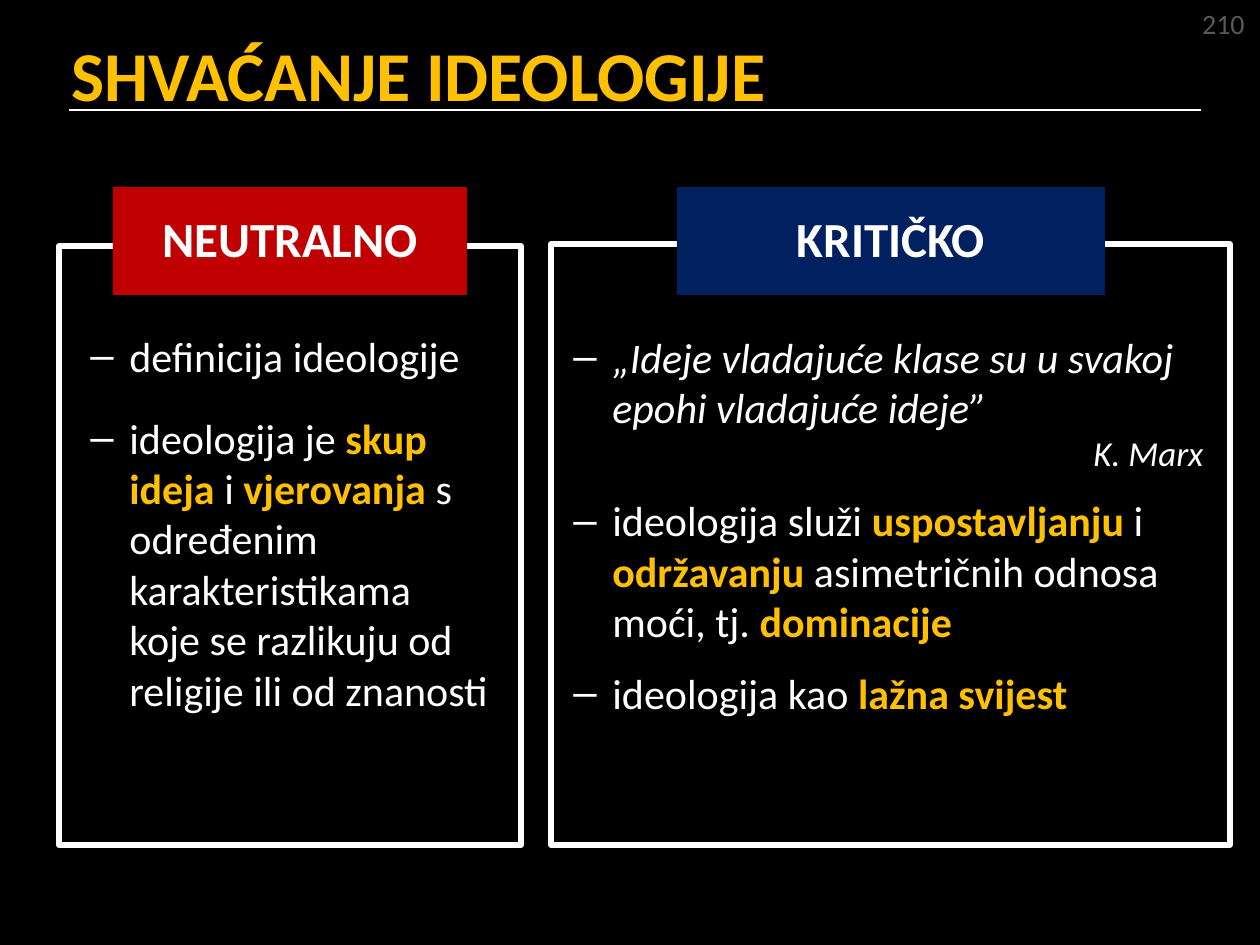
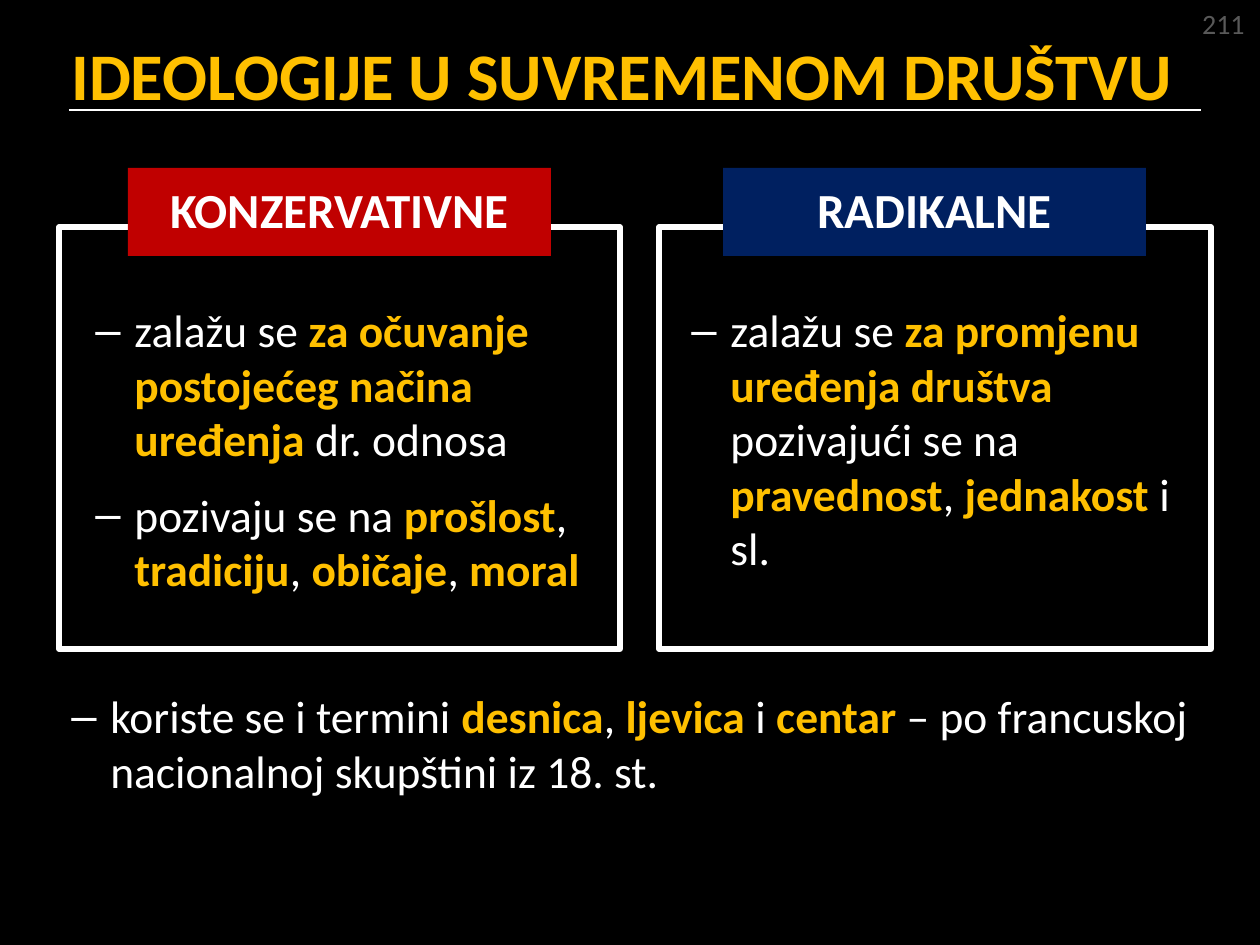
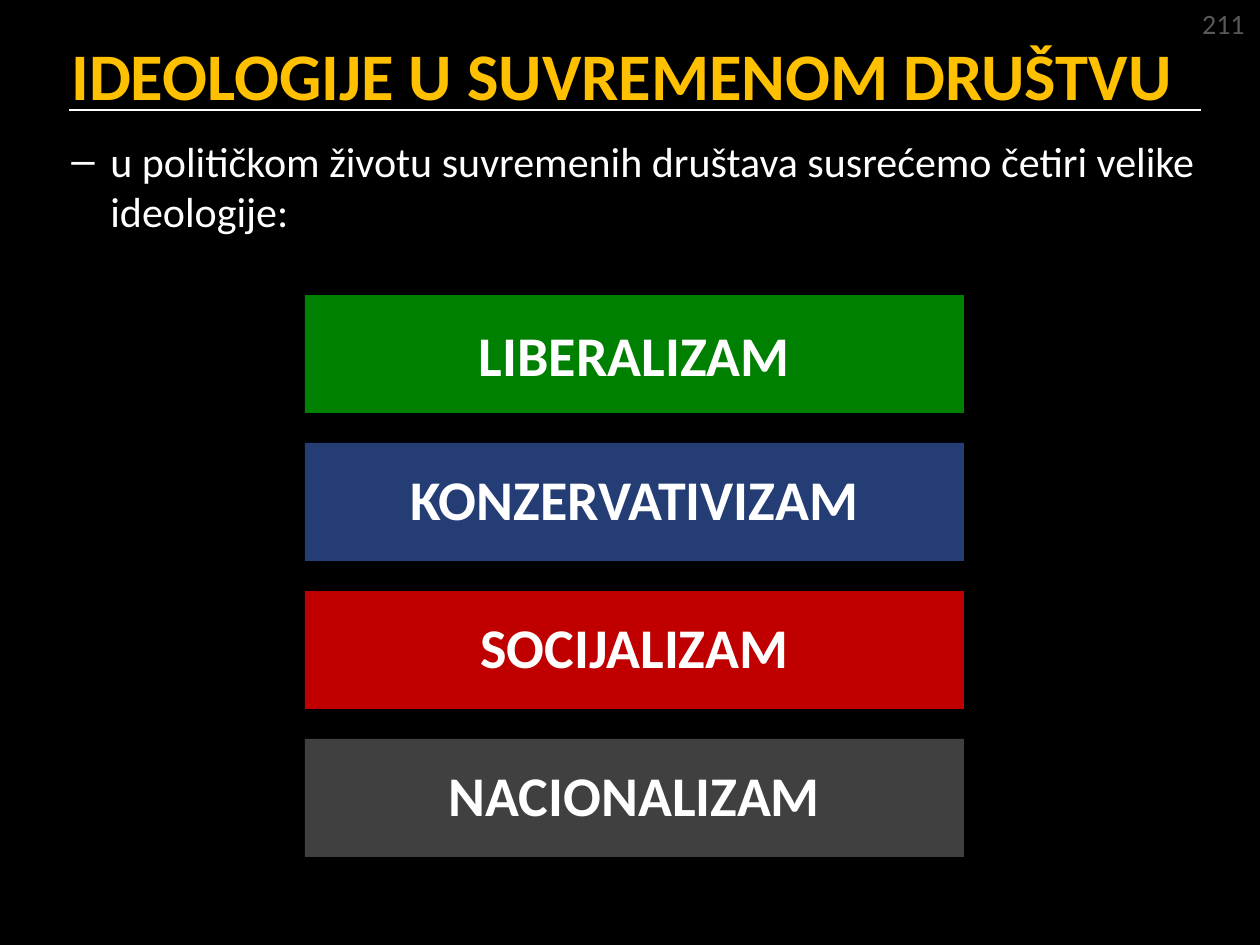
import lxml.etree
import pptx
import pptx.dml.color
import pptx.enum.shapes
import pptx.enum.text
import pptx.oxml.ns
import pptx.util

RGB = pptx.dml.color.RGBColor
BLACK = RGB(0x00, 0x00, 0x00)
WHITE = RGB(0xFF, 0xFF, 0xFF)
GOLD = RGB(0xFF, 0xC0, 0x00)
GREY = RGB(0x59, 0x59, 0x59)
RED = RGB(0xC0, 0x00, 0x00)
NAVY = RGB(0x00, 0x20, 0x60)
BLUE = RGB(0x25, 0x3D, 0x75)
GREEN = RGB(0x00, 0x80, 0x00)
COAL = RGB(0x40, 0x40, 0x40)

ALIGN = pptx.enum.text.PP_ALIGN
MIDDLE = pptx.enum.text.MSO_ANCHOR.MIDDLE
RECT = pptx.enum.shapes.MSO_SHAPE.RECTANGLE
LINE = pptx.enum.shapes.MSO_CONNECTOR.STRAIGHT
qn = pptx.oxml.ns.qn
Pt = pptx.util.Pt


def emu(px):
    return round(px * 914400 / 126)


class Deck:
    font = "Calibri"
    hang = 39

    def __init__(self):
        self.file = pptx.Presentation()
        self.file.slide_width = emu(1260)
        self.file.slide_height = emu(945)

    def page(self, title, size, number):
        self.slide = self.file.slides.add_slide(self.file.slide_layouts[6])
        back = self.slide.background.fill
        back.solid()
        back.fore_color.rgb = BLACK
        self.rule(69, 110, 1201)
        frame = self.box(59, 28, 1231, 91)
        frame.vertical_anchor = MIDDLE
        self.run(frame.paragraphs[0], title, size, GOLD, bold=True)
        frame = self.box(1189, 0, 68, 47)
        frame.word_wrap = False
        frame.paragraphs[0].alignment = ALIGN.RIGHT
        self.run(frame.paragraphs[0], number, 16, GREY)

    def rule(self, left, top, right):
        line = self.slide.shapes.add_connector(LINE, emu(left), emu(top), emu(right), emu(top))
        line.line.color.rgb = WHITE
        line.line.width = Pt(1)
        lxml.etree.SubElement(line._element.spPr, qn("a:effectLst"))

    def box(self, *place):
        frame = self.slide.shapes.add_textbox(*map(emu, place)).text_frame
        frame.word_wrap = True
        return frame

    def rect(self, *place):
        shape = self.slide.shapes.add_shape(RECT, *map(emu, place))
        shape.shadow.inherit = False
        return shape

    def frame(self, *place):
        shape = self.rect(*place)
        shape.fill.background()
        shape.line.color.rgb = WHITE
        shape.line.width = Pt(3)

    def label(self, place, text, fill, size=28, space=0.93):
        shape = self.rect(*place)
        shape.fill.solid()
        shape.fill.fore_color.rgb = fill
        shape.line.fill.background()
        shape.text_frame.vertical_anchor = MIDDLE
        para = shape.text_frame.paragraphs[0]
        para.alignment = ALIGN.CENTER
        para.line_spacing = space
        self.run(para, text, size, WHITE, bold=True)

    def run(self, para, text, size, color, bold=False, slant=False):
        run = para.add_run()
        run.text = text
        run.font.name = self.font
        run.font.size = Pt(size)
        run.font.color.rgb = color
        run.font.bold = bold
        run.font.italic = slant

    def dash(self, para):
        props = para._p.get_or_add_pPr()
        props.set("marL", str(emu(self.hang)))
        props.set("indent", str(-emu(self.hang)))
        tint = lxml.etree.SubElement(props, qn("a:buClr"))
        lxml.etree.SubElement(tint, qn("a:srgbClr"), val=str(WHITE))
        lxml.etree.SubElement(props, qn("a:buFont"), typeface="Arial")
        lxml.etree.SubElement(props, qn("a:buChar"), char="–")

    def item(self, para, text, size, slant=False):
        self.dash(para)
        for i, part in enumerate(text.split("*")):
            if part:
                strong = i % 2 == 1
                self.run(para, part, size, GOLD if strong else WHITE, strong, slant)

    def list(self, place, items, size, gap=12):
        frame = self.box(*place)
        for i, text in enumerate(items):
            para = frame.add_paragraph() if i else frame.paragraphs[0]
            self.item(para, text, size)
            if i:
                para.space_before = Pt(gap)
        return frame

    def quote(self, place, words, source, items, size):
        frame = self.box(*place)
        self.item(frame.paragraphs[0], words, size, slant=True)
        para = frame.add_paragraph()
        para.alignment = ALIGN.RIGHT
        self.run(para, source, 20, WHITE, slant=True)
        for text in items:
            para = frame.add_paragraph()
            self.item(para, text, size)
            para.space_before = Pt(12)


def views(deck):
    deck.page("SHVAĆANJE IDEOLOGIJE", 40, "210")
    deck.frame(551, 244, 679, 601)
    deck.frame(59, 246, 462, 599)
    deck.label((113, 187, 354, 108), "NEUTRALNO", RED)
    deck.label((677, 187, 428, 108), "KRITIČKO", NAVY)
    deck.quote(
        (561, 325, 655, 403),
        "„Ideje vladajuće klase su u svakoj epohi vladajuće ideje”",
        "K. Marx",
        [
            "ideologija služi *uspostavljanju* i *održavanju* asimetričnih odnosa moći, tj. *dominacije*",
            "ideologija kao *lažna svijest*",
        ],
        24,
    )
    deck.list(
        (78, 324, 424, 423),
        [
            "definicija ideologije",
            "ideologija je *skup ideja *i *vjerovanja* s određenim karakteristikama "
            "koje se razlikuju od religije ili od znanosti",
        ],
        24,
        gap=18,
    )


def sides(deck, title):
    deck.page(title, 38, "211")
    deck.frame(659, 227, 552, 422)
    deck.frame(59, 227, 561, 422)
    columns = [
        (83, 128, "KONZERVATIVNE", RED, [
            "zalažu se *za očuvanje postojećeg načina uređenja* dr. odnosa",
            "pozivaju se na *prošlost*, *tradiciju*, *običaje*, *moral*",
        ]),
        (679, 723, "RADIKALNE", NAVY, [
            "zalažu se *za promjenu uređenja društva *pozivajući se na "
            "*pravednost*, *jednakost* i sl.",
        ]),
    ]
    for left, edge, name, fill, items in columns:
        deck.list((left, 296, 512, 290), items, 26)
        deck.label((edge, 168, 423, 88), name, fill)
    deck.list(
        (59, 682, 1172, 115),
        ["koriste se i termini *desnica*, *ljevica* i *centar* – po francuskoj nacionalnoj skupštini iz 18. st."],
        26,
    )


def kinds(deck, title):
    deck.page(title, 38, "211")
    bars = [
        ("LIBERALIZAM", GREEN, 1.0),
        ("KONZERVATIVIZAM", BLUE, 0.93),
        ("SOCIJALIZAM", RED, 0.93),
        ("NACIONALIZAM", COAL, 0.93),
    ]
    for i, (name, fill, space) in enumerate(bars):
        deck.label((305, 295 + 148 * i, 659, 118), name, fill, 32, space)
    deck.list(
        (59, 129, 1182, 107),
        ["u političkom životu suvremenih društava susrećemo četiri velike ideologije:"],
        24,
    )


def main():
    deck = Deck()
    title = "IDEOLOGIJE U SUVREMENOM DRUŠTVU"
    views(deck)
    sides(deck, title)
    kinds(deck, title)
    deck.file.save("out.pptx")


if __name__ == "__main__":
    main()
